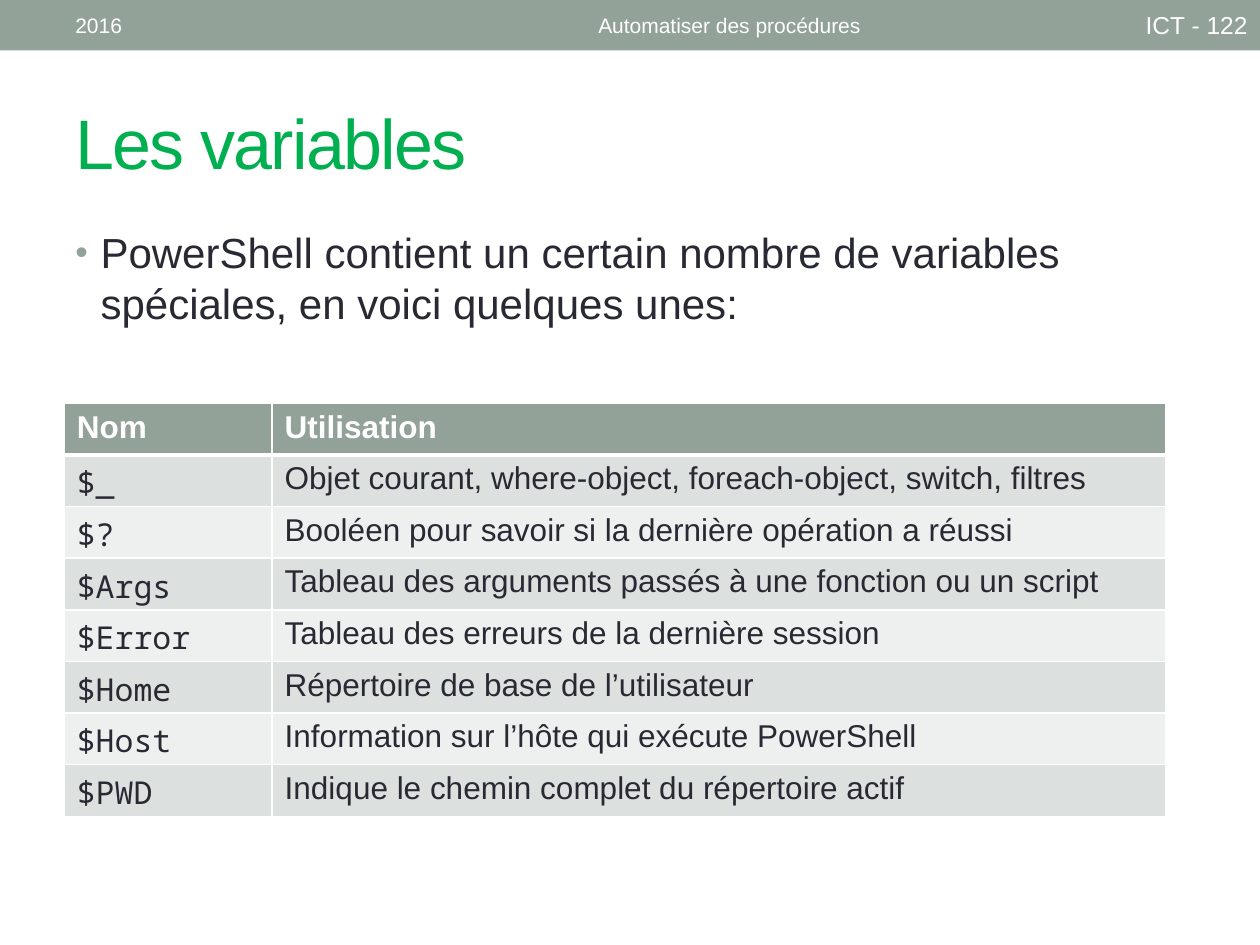
from dataclasses import dataclass

from lxml import etree
from pptx import Presentation
from pptx.dml.color import RGBColor
from pptx.enum.shapes import MSO_SHAPE
from pptx.enum.text import MSO_ANCHOR, PP_ALIGN
from pptx.oxml.ns import qn
from pptx.util import Inches, Pt

RECTANGLE = MSO_SHAPE.RECTANGLE
TOP, MIDDLE = MSO_ANCHOR.TOP, MSO_ANCHOR.MIDDLE
LEFT, CENTER, RIGHT = PP_ALIGN.LEFT, PP_ALIGN.CENTER, PP_ALIGN.RIGHT


@dataclass(frozen=True)
class Theme:
    sage: str = "93A299"
    green: str = "00B050"
    ink: str = "292934"
    white: str = "FFFFFF"
    bands: tuple = ("DCE0DE", "EEF0EF")
    sans: str = "Arial"
    mono: str = "Noto Sans Mono"
    title_size: int = 40
    body_size: int = 24
    table_size: int = 18
    course_size: int = 14
    banner_size: int = 12


THEME = Theme()

TITLE = "Les variables"
INTRO = "PowerShell contient un certain nombre de variables spéciales, en voici quelques unes:"
BANNER = [
    ("2016", 0.5, 3.17, LEFT, THEME.banner_size),
    ("Automatiser des procédures", 3.75, 4.08, CENTER, THEME.banner_size),
    ("ICT - 122", 7.83, 2.17, RIGHT, THEME.course_size),
]
VARIABLES = [
    ("Nom", "Utilisation"),
    ("$_", "Objet courant, where-object, foreach-object, switch, filtres"),
    ("$?", "Booléen pour savoir si la dernière opération a réussi"),
    ("$Args", "Tableau des arguments passés à une fonction ou un script"),
    ("$Error", "Tableau des erreurs de la dernière session"),
    ("$Home", "Répertoire de base de l’utilisateur"),
    ("$Host", "Information sur l’hôte qui exécute PowerShell"),
    ("$PWD", "Indique le chemin complet du répertoire actif"),
]
COLUMN_WIDTHS = (1.65, 7.09)
ROW_HEIGHT = 0.41


def style(paragraph, size, color, font=THEME.sans, bold=False):
    paragraph.font.size = Pt(size)
    paragraph.font.name = font
    paragraph.font.bold = bold
    paragraph.font.color.rgb = RGBColor.from_string(color)


def add_text(slide, text, box, size, color, anchor=MIDDLE, align=LEFT):
    frame = slide.shapes.add_textbox(*map(Inches, box)).text_frame
    frame.word_wrap = True
    frame.vertical_anchor = anchor
    paragraph = frame.paragraphs[0]
    paragraph.text = text
    paragraph.alignment = align
    style(paragraph, size, color)
    return paragraph


def add_bullet(paragraph, color, indent):
    properties = paragraph._p.get_or_add_pPr()
    properties.set("marL", str(Inches(indent)))
    properties.set("indent", str(-Inches(indent)))
    bullet_color = etree.Element(qn("a:buClr"))
    etree.SubElement(bullet_color, qn("a:srgbClr"), val=color)
    bullet_parts = [
        bullet_color,
        etree.Element(qn("a:buSzPct"), val="85000"),
        etree.Element(qn("a:buFont"), typeface=THEME.sans),
        etree.Element(qn("a:buChar"), char="•"),
    ]
    defaults = properties.find(qn("a:defRPr"))
    for part in bullet_parts:
        defaults.addprevious(part)


def set_borders(cell, top, bottom):
    properties = cell._tc.get_or_add_tcPr()
    widths = {"a:lnL": 1, "a:lnR": 1, "a:lnT": top, "a:lnB": bottom}
    for position, (tag, width) in enumerate(widths.items()):
        line = etree.Element(qn(tag), w=str(Pt(width)))
        fill = etree.SubElement(line, qn("a:solidFill"))
        etree.SubElement(fill, qn("a:srgbClr"), val=THEME.white)
        properties.insert(position, line)


def add_variables_table(slide):
    table = slide.shapes.add_table(
        len(VARIABLES), len(COLUMN_WIDTHS), Inches(0.51), Inches(3.2),
        Inches(sum(COLUMN_WIDTHS)), Inches(ROW_HEIGHT * len(VARIABLES)),
    ).table
    for column, width in zip(table.columns, COLUMN_WIDTHS):
        column.width = Inches(width)
    for r, entry in enumerate(VARIABLES):
        header = r == 0
        table.rows[r].height = Inches(ROW_HEIGHT)
        background = THEME.sage if header else THEME.bands[(r - 1) % 2]
        for c, text in enumerate(entry):
            cell = table.cell(r, c)
            cell.text = text
            cell.fill.solid()
            cell.fill.fore_color.rgb = RGBColor.from_string(background)
            style(
                cell.text_frame.paragraphs[0], THEME.table_size,
                THEME.white if header else THEME.ink,
                THEME.sans if header or c else THEME.mono, header,
            )
            set_borders(cell, top=3 if r == 1 else 1, bottom=3 if header else 1)


def main():
    presentation = Presentation()
    presentation.slide_width, presentation.slide_height = Inches(10), Inches(7.5)
    slide = presentation.slides.add_slide(presentation.slide_layouts[6])

    banner = slide.shapes.add_shape(RECTANGLE, 0, 0, Inches(10), Inches(0.4))
    banner.shadow.inherit = False
    banner.fill.solid()
    banner.fill.fore_color.rgb = RGBColor.from_string(THEME.sage)
    banner.line.fill.background()

    title = add_text(slide, TITLE, (0.5, 0.58, 9, 1.08), THEME.title_size, THEME.green)
    title.runs[0].font._element.set("spc", "-100")

    intro = add_text(slide, INTRO, (0.5, 1.75, 9, 5.33), THEME.body_size, THEME.ink, TOP)
    intro.space_before = Pt(4.8)
    add_bullet(intro, THEME.sage, 0.2)

    add_variables_table(slide)

    for text, left, width, align, size in BANNER:
        add_text(slide, text, (left, 0.02, width, 0.36), size, THEME.white, align=align)

    presentation.save("out.pptx")


if __name__ == "__main__":
    main()
